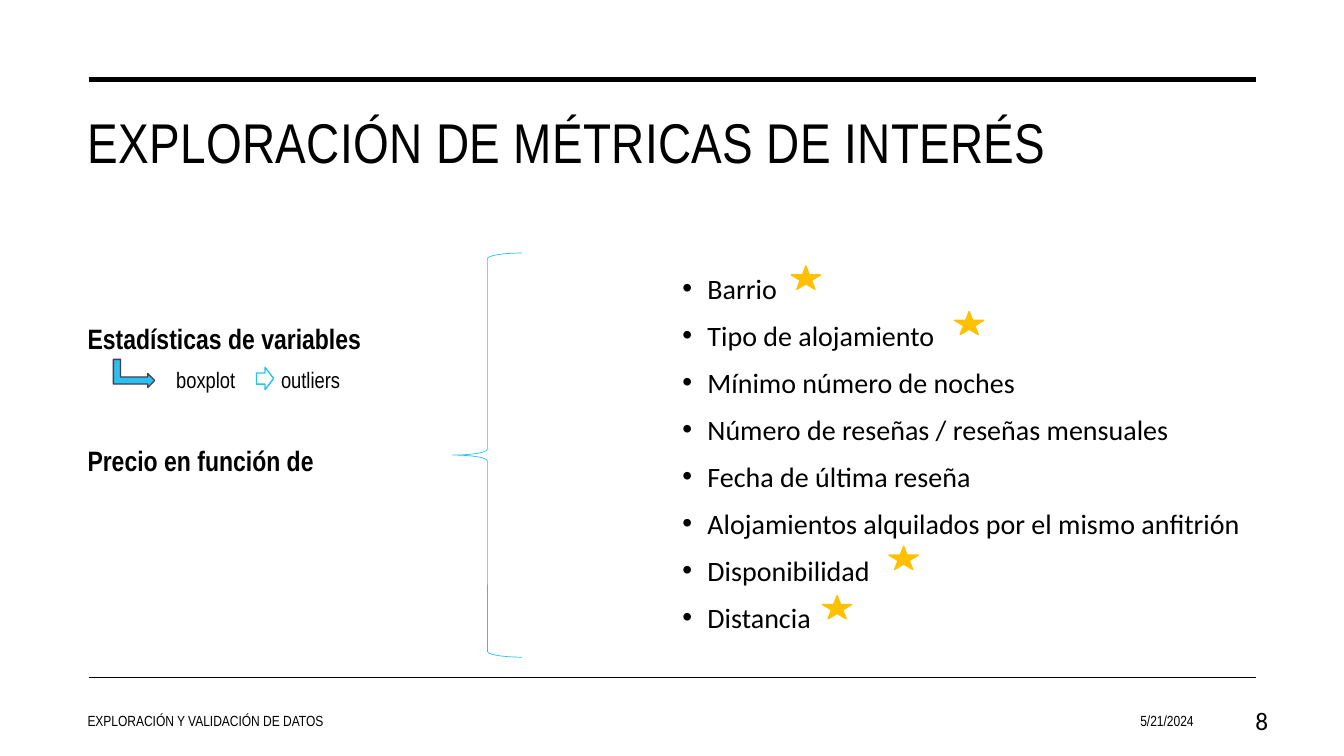
import pptx
import pptx.dml.color
import pptx.enum.shapes
import pptx.enum.text
import pptx.oxml
import pptx.oxml.ns
import pptx.util

Pt = pptx.util.Pt
RGBColor = pptx.dml.color.RGBColor
Shape = pptx.enum.shapes.MSO_SHAPE
Anchor = pptx.enum.text.MSO_ANCHOR
Align = pptx.enum.text.PP_ALIGN

BLACK = RGBColor(0x00, 0x00, 0x00)
WHITE = RGBColor(0xFF, 0xFF, 0xFF)
CYAN = RGBColor(0x27, 0xC2, 0xF0)
PLUM = RGBColor(0x55, 0x37, 0x4C)
GOLD = RGBColor(0xFF, 0xC0, 0x00)

LEFT = 55.44
RULE_LEFT, RULE_RIGHT = 63.36, 897.12
FOOTER_TOP, FOOTER_HEIGHT = 500.4, 28.8

METRICS = [
    "Barrio",
    "Tipo de alojamiento",
    "Mínimo número de noches",
    "Número de reseñas / reseñas mensuales",
    "Fecha de última reseña",
    "Alojamientos alquilados por el mismo anfitrión",
    "Disponibilidad",
    "Distancia",
]
STARS = [(565.2, 190.08), (681.84, 222.48), (635.04, 390.24), (587.52, 425.52)]


def write_paragraph(para, text, *, size, font="Arial Narrow", bold=False,
                    align=Align.LEFT, line_spacing=None, before=0,
                    tracking=0, bullet=False):
    para.alignment = align
    para.space_before = Pt(before)
    if line_spacing:
        para.line_spacing = line_spacing
    if bullet:
        properties = para._p.get_or_add_pPr()
        properties.set("marL", str(Pt(18)))
        properties.set("indent", str(-Pt(18)))
        for tag, name, value in (("a:buFont", "typeface", "Arial"),
                                 ("a:buChar", "char", "•")):
            mark = pptx.oxml.parse_xml(
                f'<{tag} {pptx.oxml.ns.nsdecls("a")} {name}="{value}"/>')
            properties.append(mark)
    span = para.add_run()
    span.text = text
    span.font.name = font
    span.font.size = Pt(size)
    span.font.bold = bold
    span.font.color.rgb = BLACK
    if tracking:
        span._r.get_or_add_rPr().set("spc", str(round(tracking * 100)))


class SlideBuilder:
    def __init__(self, page):
        self.page = page

    def rule(self, top, weight):
        line = self.page.shapes.add_connector(
            pptx.enum.shapes.MSO_CONNECTOR.STRAIGHT,
            Pt(RULE_LEFT), Pt(top), Pt(RULE_RIGHT), Pt(top))
        line.line.color.rgb = BLACK
        line.line.width = Pt(weight)
        line._element.spPr.append(pptx.oxml.parse_xml(
            f'<a:effectLst {pptx.oxml.ns.nsdecls("a")}/>'))

    def text(self, left, top, width, height, lines, anchor=Anchor.TOP, **style):
        box = self.page.shapes.add_textbox(Pt(left), Pt(top), Pt(width), Pt(height))
        frame = box.text_frame
        frame.word_wrap = True
        frame.vertical_anchor = anchor
        for index, line in enumerate(lines):
            para = frame.add_paragraph() if index else frame.paragraphs[0]
            write_paragraph(para, line, **style)

    def shape(self, kind, left, top, width, height, line, fill=None,
              weight=1, rotation=0):
        shape = self.page.shapes.add_shape(
            kind, Pt(left), Pt(top), Pt(width), Pt(height))
        shape.shadow.inherit = False
        shape.rotation = rotation
        shape.line.color.rgb = line
        shape.line.width = Pt(weight)
        if fill is None:
            shape.fill.background()
        else:
            shape.fill.solid()
            shape.fill.fore_color.rgb = fill


def main():
    deck = pptx.Presentation()
    deck.slide_width = Pt(960)
    deck.slide_height = Pt(540)
    builder = SlideBuilder(deck.slides.add_slide(deck.slide_layouts[6]))

    builder.rule(56.88, 3.5)
    builder.rule(483.84, 1)
    builder.text(LEFT, 73.44, 841.68, 62.64,
                 ["EXPLORACIÓN DE MÉTRICAS DE INTERÉS"], size=40, tracking=0.3)

    for top, heading in ((205.2, "Estadísticas de variables"),
                         (292.32, "Precio en función de")):
        builder.text(LEFT, top, 410.4, 51.84, [heading], anchor=Anchor.BOTTOM,
                     size=20, bold=True, line_spacing=1.1, before=10)

    builder.text(480.24, 190.08, 447.84, 279.36, METRICS,
                 size=20, font="Calibri", before=9.6, bullet=True)

    for left, width, text, style in (
            (658.8, 200.88, "5/21/2024", {"size": 10.5, "align": Align.RIGHT}),
            (LEFT, 357.12, "EXPLORACIÓN Y VALIDACIÓN DE DATOS", {"size": 10.5}),
            (859.68, 53.28, "8",
             {"size": 18, "font": "Calibri", "align": Align.RIGHT})):
        builder.text(left, FOOTER_TOP, width, FOOTER_HEIGHT, [text],
                     anchor=Anchor.MIDDLE, **style)

    builder.shape(Shape.LEFT_BRACE, 323.28, 180.72, 49.68, 288.72, CYAN, weight=0.5)
    for left, top in STARS:
        builder.shape(Shape.STAR_5_POINT, left, top, 20.88, 16.56, GOLD, fill=GOLD)

    for left, word in ((118.8, "boxplot"), (193.68, "outliers")):
        builder.text(left, 256.32, 72, 51.84, [word],
                     size=16, line_spacing=1.1, before=10)
    builder.shape(Shape.BENT_UP_ARROW, 85.68, 252, 20.16, 29.52, PLUM,
                  fill=CYAN, rotation=90)
    builder.shape(Shape.DOWN_ARROW, 181.44, 264.24, 15.84, 12.24, CYAN,
                  fill=WHITE, rotation=270)

    deck.save("out.pptx")


if __name__ == "__main__":
    main()
